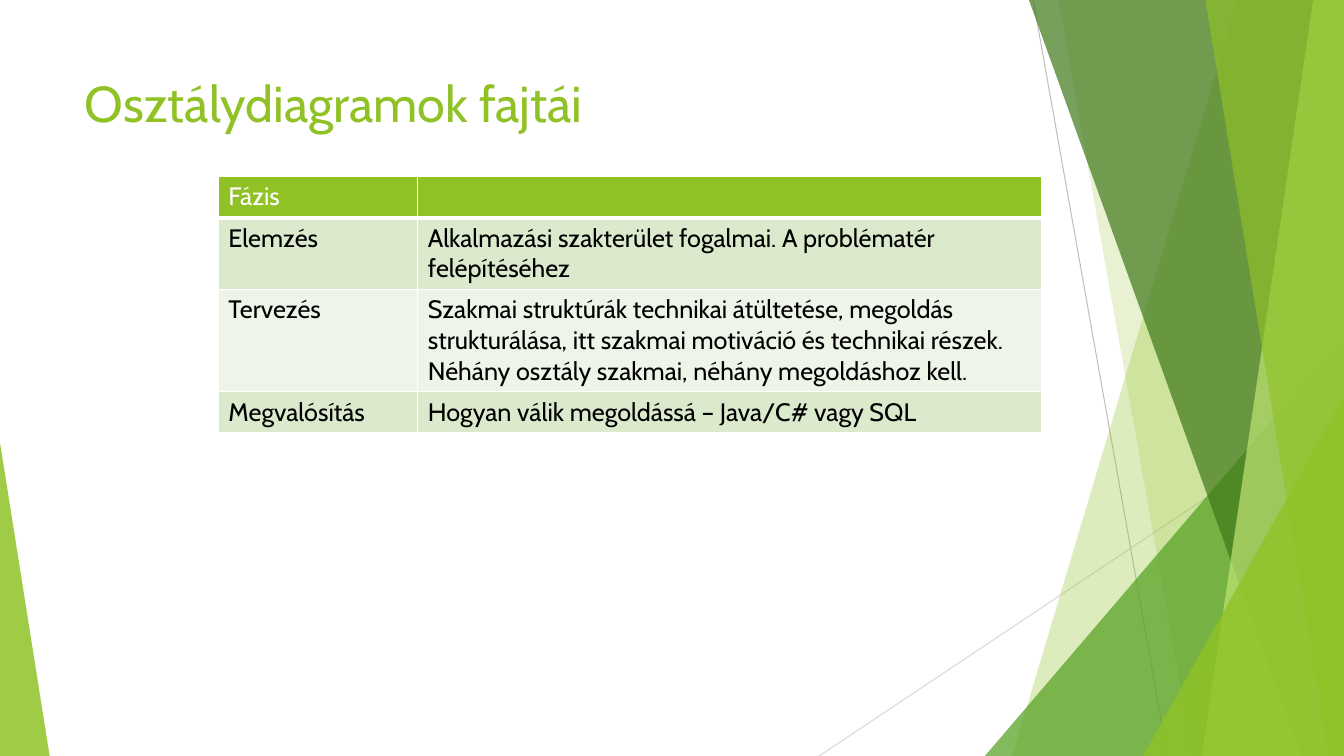
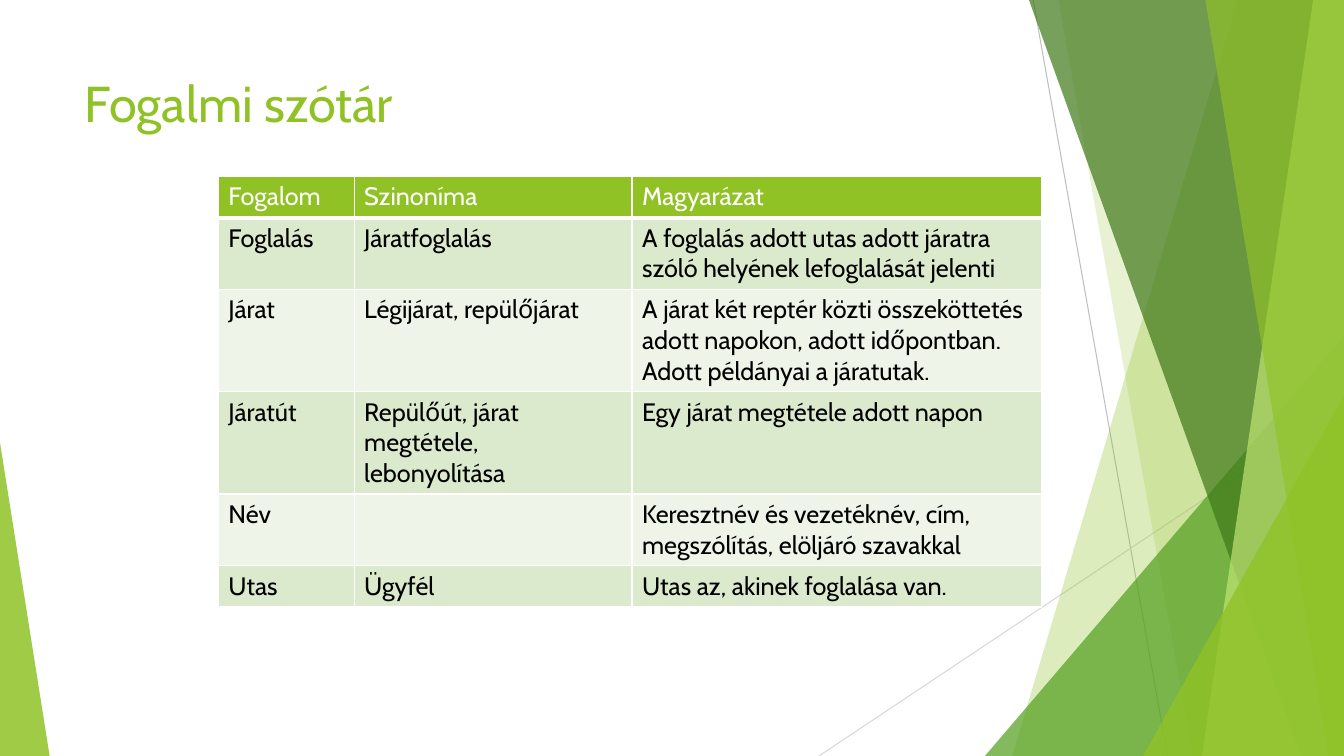
from lxml.etree import SubElement
from pptx import Presentation
from pptx.dml.color import RGBColor
from pptx.enum.shapes import MSO_CONNECTOR, MSO_SHAPE
from pptx.enum.text import MSO_ANCHOR, PP_ALIGN
from pptx.oxml import parse_xml
from pptx.oxml.ns import nsdecls, qn
from pptx.util import Pt

SLIDE_WIDTH, SLIDE_HEIGHT = 960, 540
FONT = "Cabin"
GREEN, WHITE, BLACK = "90C226", "FFFFFF", "000000"
BAND_COLORS = ("DBE9CD", "EEF4E8")
TITLE_BOX = (53.5, 48, 676.5, 104)
TABLE_LEFT, TABLE_TOP, ROW_HEIGHT = 156, 126, 29.5

SLIDES = [
    {
        "title": "Osztálydiagramok fajtái",
        "widths": (142.5, 445.5),
        "rows": [
            ("Fázis", ""),
            ("Elemzés", "Alkalmazási szakterület fogalmai. A problématér felépítéséhez"),
            ("Tervezés", "Szakmai struktúrák technikai átültetése, megoldás strukturálása, "
                         "itt szakmai motiváció és technikai részek. "
                         "Néhány osztály szakmai, néhány megoldáshoz kell."),
            ("Megvalósítás", "Hogyan válik megoldássá – Java/C# vagy SQL"),
        ],
    },
    {
        "title": "Fogalmi szótár",
        "widths": (97, 198.5, 292.5),
        "rows": [
            ("Fogalom", "Szinoníma", "Magyarázat"),
            ("Foglalás", "Járatfoglalás",
             "A foglalás adott utas adott járatra szóló helyének lefoglalását jelenti"),
            ("Járat", "Légijárat, repülőjárat",
             "A járat két reptér közti összeköttetés adott napokon, adott időpontban. "
             "Adott példányai a járatutak."),
            ("Járatút", "Repülőút, járat megtétele, lebonyolítása",
             "Egy járat megtétele adott napon"),
            ("Név", "", "Keresztnév és vezetéknév, cím, megszólítás, elöljáró szavakkal"),
            ("Utas", "Ügyfél", "Utas az, akinek foglalása van."),
        ],
    },
]

# Start x, start y, end x, end y, color
THIN_LINES = [
    (738, 0, 834, 540, "BFBFBF"),
    (960, 290, 585, 540, "D9D9D9"),
]
# Panels: left edge at top and bottom. Triangles: left, top, width, apex position.
# Both end with color and opacity in percent.
FACETS = [
    ("panel", (884, 723), GREEN, 30),
    ("panel", (756, 852), GREEN, 20),
    ("triangle", (703.5, 240, 256.5, 1), "54A021", 72),
    ("panel", (735, 929.5), "3F7819", 70),
    ("panel", (938, 858.5), "C0E474", 70),
    ("panel", (861, 949), GREEN, 65),
    ("triangle", (816.5, 283, 143.5, 1), GREEN, 80),
    ("triangle", (0, 316, 35.5, 0), GREEN, 85),
]


def rgb(color):
    return RGBColor.from_string(color)


def add_run(paragraph, text, size, color):
    run = paragraph.add_run()
    run.text = text
    run.font.name = FONT
    run.font.size = Pt(size)
    run.font.bold = False
    run.font.color.rgb = rgb(color)


def add_thin_line(shapes, start_x, start_y, end_x, end_y, color):
    line = shapes.add_connector(
        MSO_CONNECTOR.STRAIGHT, Pt(start_x), Pt(start_y), Pt(end_x), Pt(end_y))
    line.line.color.rgb = rgb(color)
    line.line.width = Pt(0.75)
    SubElement(line.element.spPr, qn("a:effectLst"))


def add_panel(shapes, top_x, bottom_x):
    """Add a panel with a slanted left edge that reaches the right slide edge."""
    builder = shapes.build_freeform(Pt(top_x), 0)
    builder.add_line_segments([
        (Pt(SLIDE_WIDTH), 0),
        (Pt(SLIDE_WIDTH), Pt(SLIDE_HEIGHT)),
        (Pt(bottom_x), Pt(SLIDE_HEIGHT)),
    ])
    return builder.convert_to_shape()


def add_triangle(shapes, left, top, width, apex):
    """Add a triangle that stands on the bottom slide edge."""
    triangle = shapes.add_shape(
        MSO_SHAPE.ISOSCELES_TRIANGLE,
        Pt(left), Pt(top), Pt(width), Pt(SLIDE_HEIGHT - top))
    triangle.adjustments[0] = apex
    return triangle


def add_facet(shapes, kind, geometry, color, opacity):
    add_outline = {"panel": add_panel, "triangle": add_triangle}[kind]
    shape = add_outline(shapes, *geometry)
    shape.shadow.inherit = False
    shape.line.fill.background()
    shape.fill.solid()
    shape.fill.fore_color.rgb = rgb(color)
    fill_color = next(shape.element.spPr.iter(qn("a:srgbClr")))
    SubElement(fill_color, qn("a:alpha"), val=str(opacity * 1000))


def prepare_layout(layout):
    for placeholder in list(layout.placeholders):
        if placeholder.placeholder_format.idx != 0:
            layout.shapes.element.remove(placeholder.element)
    title = layout.placeholders[0]
    title.left, title.top, title.width, title.height = map(Pt, TITLE_BOX)
    title.text_frame.vertical_anchor = MSO_ANCHOR.TOP


def add_backdrop(slide):
    """Draw the facets as one group and hand it to the layout all slides share."""
    backdrop = slide.shapes.add_group_shape()
    for line in THIN_LINES:
        add_thin_line(backdrop.shapes, *line)
    for facet in FACETS:
        add_facet(backdrop.shapes, *facet)
    slide.slide_layout.shapes.element.append(backdrop.element)


def set_borders(cell, bottom_width):
    properties = cell._tc.get_or_add_tcPr()
    widths = {"lnL": 1, "lnR": 1, "lnT": 1, "lnB": bottom_width}
    for index, (side, width) in enumerate(widths.items()):
        properties.insert(index, parse_xml(
            f'<a:{side} {nsdecls("a")} w="{Pt(width)}"><a:solidFill>'
            f'<a:srgbClr val="{WHITE}"/></a:solidFill></a:{side}>'))


def add_banded_table(slide, rows, widths):
    table = slide.shapes.add_table(
        len(rows), len(widths), Pt(TABLE_LEFT), Pt(TABLE_TOP),
        Pt(sum(widths)), Pt(ROW_HEIGHT * len(rows))).table
    for column, width in zip(table.columns, widths):
        column.width = Pt(width)
    for row_index, row in enumerate(rows):
        is_header = row_index == 0
        fill = GREEN if is_header else BAND_COLORS[(row_index - 1) % 2]
        for column_index, text in enumerate(row):
            cell = table.cell(row_index, column_index)
            cell.fill.solid()
            cell.fill.fore_color.rgb = rgb(fill)
            set_borders(cell, 3 if is_header else 1)
            if text:
                add_run(cell.text_frame.paragraphs[0], text, 18,
                        WHITE if is_header else BLACK)


def add_table_slide(presentation, layout, content):
    slide = presentation.slides.add_slide(layout)
    paragraph = slide.shapes.title.text_frame.paragraphs[0]
    paragraph.alignment = PP_ALIGN.LEFT
    add_run(paragraph, content["title"], 36, GREEN)
    add_banded_table(slide, content["rows"], content["widths"])
    return slide


def main():
    presentation = Presentation()
    presentation.slide_width = Pt(SLIDE_WIDTH)
    presentation.slide_height = Pt(SLIDE_HEIGHT)
    layout = presentation.slide_layouts.get_by_name("Title Only")
    prepare_layout(layout)
    slides = [add_table_slide(presentation, layout, content) for content in SLIDES]
    add_backdrop(slides[0])
    presentation.save("out.pptx")


if __name__ == "__main__":
    main()
